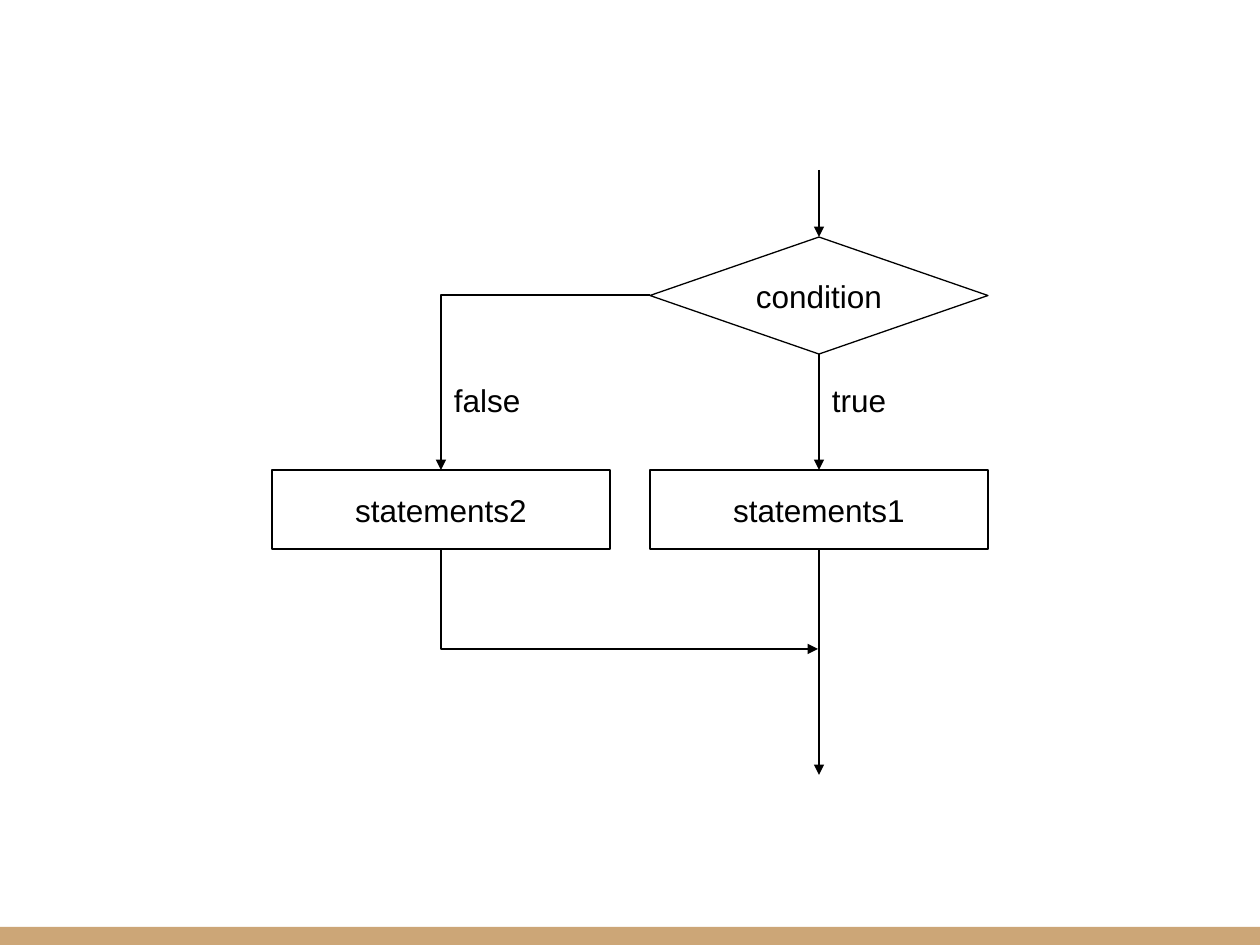
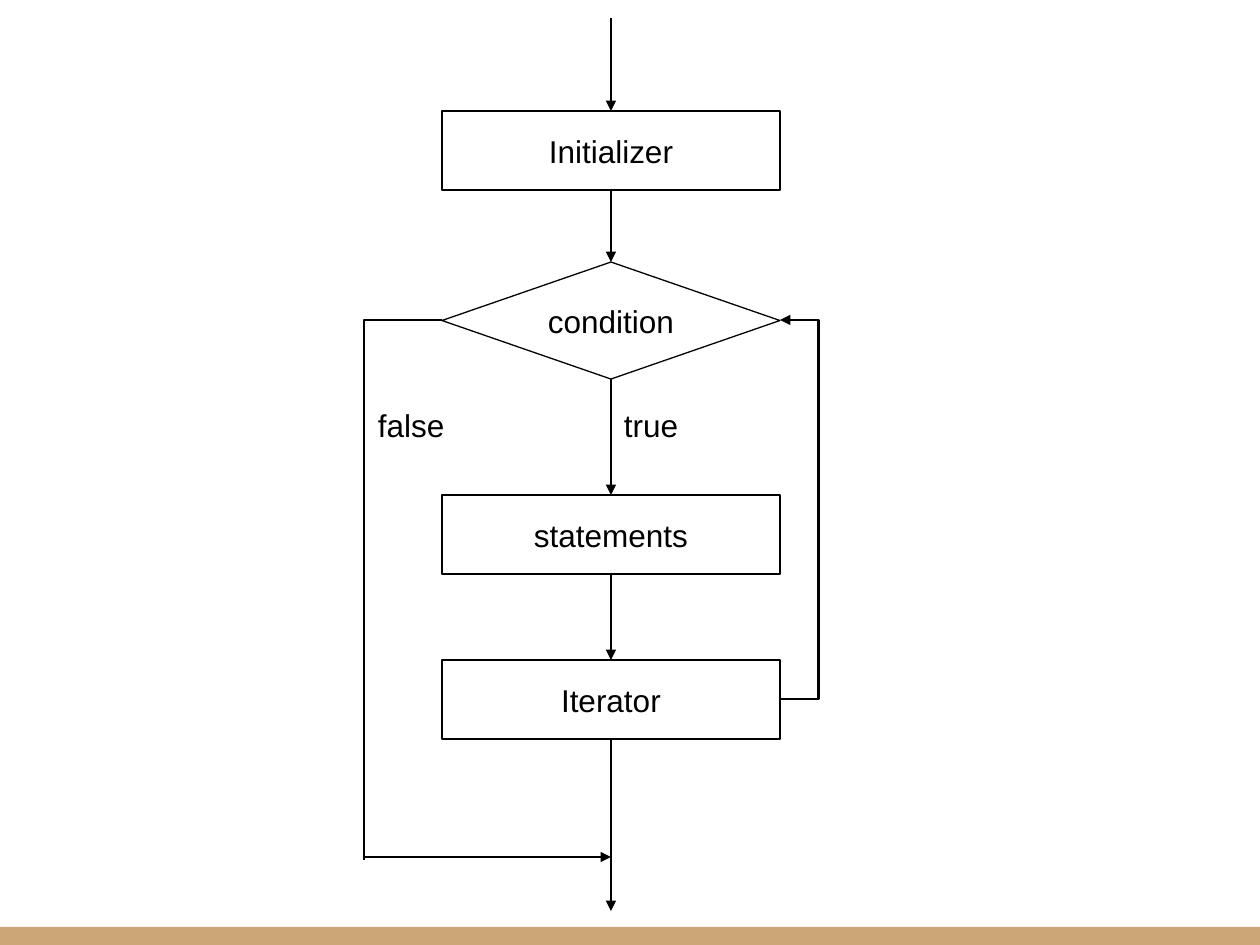
from dataclasses import dataclass

from lxml.etree import SubElement
from pptx import Presentation
from pptx.dml.color import RGBColor
from pptx.enum.shapes import MSO_CONNECTOR as Connector, MSO_SHAPE as Preset
from pptx.enum.text import MSO_ANCHOR as Anchor, PP_ALIGN as Align
from pptx.oxml.ns import qn
from pptx.util import Emu, Pt

EMU_PER_PX = 914400 / 126
SLIDE_WIDTH, SLIDE_HEIGHT = 1260, 945
BAND_HEIGHT = 18
NODE_WIDTH, BOX_HEIGHT, DECISION_HEIGHT = 338, 79, 117
LABEL_HEIGHT, LABEL_DROP = 50, 14
INSET = 13

BLACK = RGBColor(0x00, 0x00, 0x00)
TAN = RGBColor(0xCC, 0xA6, 0x77)


@dataclass
class Node:
    """Edges of a flowchart node, in px."""
    center: int
    top: int
    height: int

    @property
    def left(self):
        return self.center - NODE_WIDTH // 2

    @property
    def right(self):
        return self.left + NODE_WIDTH

    @property
    def bottom(self):
        return self.top + self.height

    @property
    def middle(self):
        return self.top + self.height // 2


def px(length):
    return Emu(round(length * EMU_PER_PX))


def write_text(shape, text, align=Align.LEFT, anchor=Anchor.TOP, size=18,
               font="Arial", color=BLACK):
    frame = shape.text_frame
    frame.word_wrap = True
    frame.vertical_anchor = anchor
    frame.margin_left = frame.margin_right = px(INSET)
    frame.margin_top = frame.margin_bottom = px(INSET)
    paragraph = frame.paragraphs[0]
    paragraph.alignment = align
    run = paragraph.add_run()
    run.text = text
    run.font.name = font
    run.font.size = Pt(size)
    run.font.color.rgb = color


def add_slide(presentation):
    """Add a blank slide with the tan band along its foot."""
    slide = presentation.slides.add_slide(presentation.slide_layouts[6])
    band = slide.shapes.add_shape(
        Preset.RECTANGLE, 0, px(SLIDE_HEIGHT - BAND_HEIGHT),
        px(SLIDE_WIDTH), px(BAND_HEIGHT))
    band.shadow.inherit = False
    band.fill.solid()
    band.fill.fore_color.rgb = TAN
    band.line.fill.background()
    return slide


def add_node(slide, text, center, top, preset=Preset.RECTANGLE,
             height=BOX_HEIGHT):
    node = Node(center, top, height)
    shape = slide.shapes.add_shape(
        preset, px(node.left), px(top), px(NODE_WIDTH), px(height))
    shape.shadow.inherit = False
    shape.fill.background()
    shape.line.color.rgb = BLACK
    shape.line.width = Pt(0.75)
    write_text(shape, text, align=Align.CENTER, anchor=Anchor.MIDDLE)
    return node


def add_decision(slide, text, center, top):
    return add_node(slide, text, center, top, Preset.FLOWCHART_DECISION,
                    DECISION_HEIGHT)


def add_branch_label(slide, text, left, decision, width):
    label = slide.shapes.add_textbox(
        px(left), px(decision.bottom + LABEL_DROP), px(width),
        px(LABEL_HEIGHT))
    write_text(label, text)


def add_line(slide, start, end, kind=Connector.STRAIGHT, arrow=True):
    connector = slide.shapes.add_connector(
        kind, *(px(length) for length in (*start, *end)))
    connector.line.color.rgb = BLACK
    connector.line.width = Pt(1.5)
    properties = connector._element.spPr
    if arrow:
        SubElement(properties.find(qn("a:ln")), qn("a:tailEnd"),
                   type="triangle")
    SubElement(properties, qn("a:effectLst"))
    return properties


def add_flow(slide, center, top, bottom):
    """Add an arrow straight down."""
    add_line(slide, (center, top), (center, bottom))


def add_corner(slide, start, end, arrow=True):
    """Add a one-bend line that runs sideways first, then down."""
    properties = add_line(slide, start, end, Connector.ELBOW, arrow)
    properties.find(qn("a:prstGeom")).set("prst", "bentConnector2")
    return properties


def add_down_corner(slide, start, end):
    """Add a one-bend arrow that runs down first, then right."""
    (left, top), (right, bottom) = start, end
    middle_x, middle_y = (left + right) / 2, (top + bottom) / 2
    half_width, half_height = (bottom - top) / 2, (right - left) / 2
    properties = add_corner(
        slide, (middle_x + half_width, middle_y - half_height),
        (middle_x - half_width, middle_y + half_height))
    properties.find(qn("a:xfrm")).set("rot", str(270 * 60000))


def add_loop_back(slide, source, target, reach):
    """Add an arrow out of the right of source and back into target."""
    properties = add_line(slide, (source.right - 1, source.middle),
                          (target.right, target.middle), Connector.ELBOW)
    guides = properties.find(qn("a:prstGeom")).find(qn("a:avLst"))
    # The frame is 1 px wide, so the reach in px is its multiple of the width.
    SubElement(guides, qn("a:gd"), name="adj1",
               fmla=f"val {(reach + 1) * 100000}")


def build_if_else(presentation):
    slide = add_slide(presentation)
    true_x, false_x = 819, 441
    condition = add_decision(slide, "condition", true_x, 237)
    true_box = add_node(slide, "statements1", true_x, 470)
    false_box = add_node(slide, "statements2", false_x, 470)
    add_branch_label(slide, "true", true_x, condition, 138)
    add_branch_label(slide, "false", false_x, condition, 112)
    for top, bottom in ((170, condition.top),
                        (condition.bottom, true_box.top),
                        (true_box.bottom, 775)):
        add_flow(slide, true_x, top, bottom)
    add_corner(slide, (condition.left, condition.middle),
               (false_x, false_box.top))
    add_down_corner(slide, (false_x, false_box.bottom), (true_x - 1, 649))


def build_for_loop(presentation):
    slide = add_slide(presentation)
    center, exit_x, exit_y = 611, 364, 857
    initializer = add_node(slide, "Initializer", center, 111)
    condition = add_decision(slide, "condition", center, 262)
    statements = add_node(slide, "statements", center, 495)
    iterator = add_node(slide, "Iterator", center, 660)
    add_branch_label(slide, "true", center, condition, 138)
    add_branch_label(slide, "false", exit_x + 1, condition, 112)
    nodes = (initializer, condition, statements, iterator)
    starts = (18, *(node.bottom for node in nodes))
    ends = (*(node.top for node in nodes), 911)
    for top, bottom in zip(starts, ends):
        add_flow(slide, center, top, bottom)
    add_corner(slide, (condition.left, condition.middle),
               (exit_x, exit_y + 3), arrow=False)
    add_line(slide, (exit_x, exit_y), (center, exit_y))
    add_loop_back(slide, iterator, condition, reach=39)


def main():
    presentation = Presentation()
    presentation.slide_width = px(SLIDE_WIDTH)
    presentation.slide_height = px(SLIDE_HEIGHT)
    build_if_else(presentation)
    build_for_loop(presentation)
    presentation.save("out.pptx")


if __name__ == "__main__":
    main()
